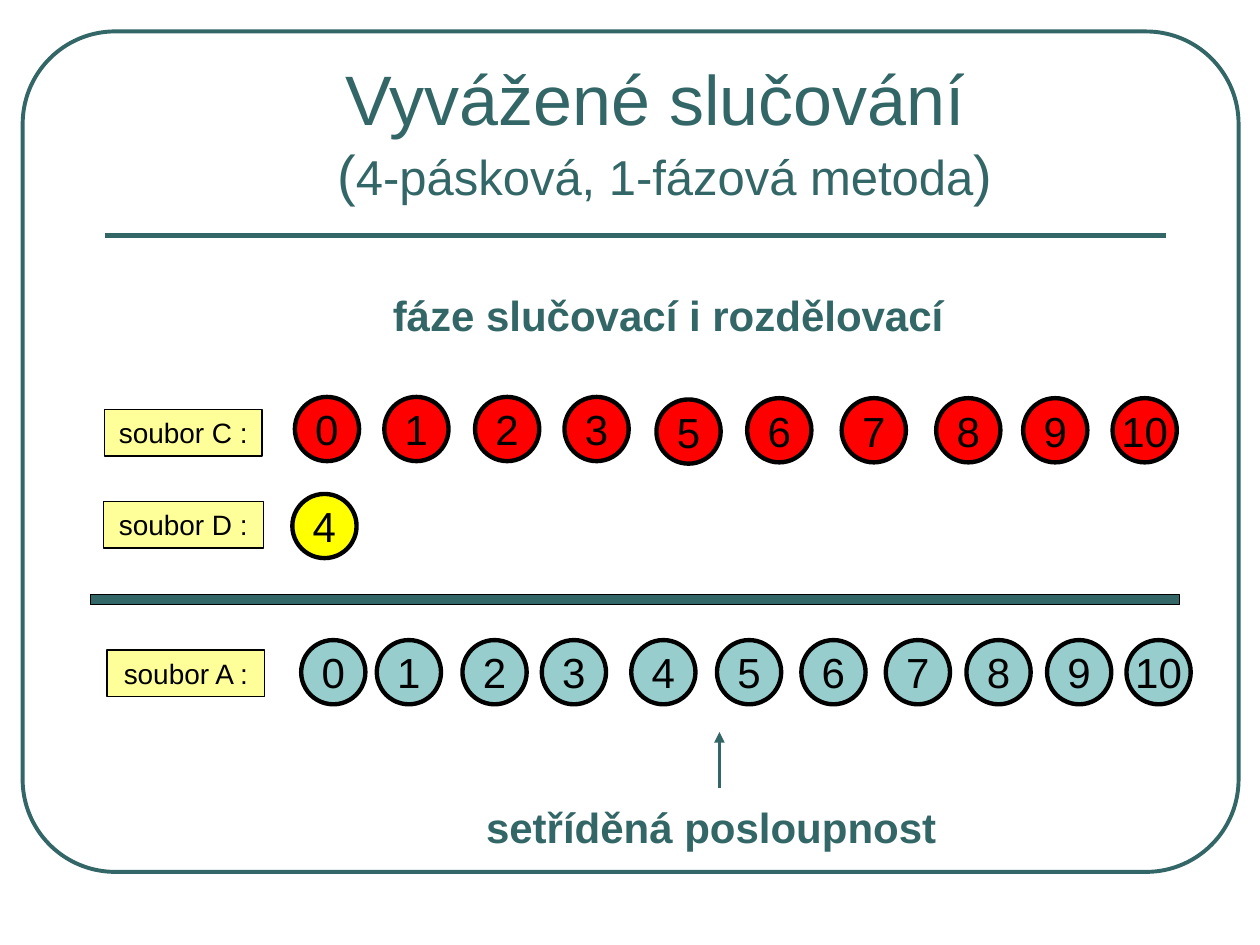
from lxml import etree
from pptx import Presentation
from pptx.dml.color import RGBColor
from pptx.enum.shapes import MSO_CONNECTOR, MSO_SHAPE
from pptx.enum.text import MSO_ANCHOR, PP_ALIGN
from pptx.oxml.ns import qn
from pptx.util import Inches, Pt

TEAL = RGBColor(0x33, 0x66, 0x66)
AQUA = RGBColor(0x97, 0xCD, 0xCC)
RED = RGBColor(0xFF, 0x00, 0x00)
YELLOW = RGBColor(0xFF, 0xFF, 0x00)
CREAM = RGBColor(0xFF, 0xFF, 0x99)
BLACK = RGBColor(0x00, 0x00, 0x00)
RECT, ROUND, OVAL = MSO_SHAPE.RECTANGLE, MSO_SHAPE.ROUNDED_RECTANGLE, MSO_SHAPE.OVAL
STRAIGHT = MSO_CONNECTOR.STRAIGHT
CENTER, MIDDLE = PP_ALIGN.CENTER, MSO_ANCHOR.MIDDLE
TOP, BOTTOM = MSO_ANCHOR.TOP, MSO_ANCHOR.BOTTOM
CELL = Inches(0.1)
BALL = 5.1


def grid(*cells):
    """Turn counts of columns and rows into lengths."""
    return [round(CELL * n) for n in cells]


def style(font, size, color, bold=False):
    """Set the look of a piece of text."""
    font.name, font.size, font.bold = "Arial", Pt(size), bold
    font.color.rgb = color


def write(shape, text, size, color, anchor=TOP, bold=False):
    """Put one centred line of text in a shape."""
    frame = shape.text_frame
    frame.text = text
    frame.word_wrap = False
    frame.vertical_anchor = anchor
    para = frame.paragraphs[0]
    para.alignment = CENTER
    style(para.runs[0].font, size, color, bold)


def block(slide, kind, box, fill, line, width):
    """Draw a preset shape in a box, unfilled when fill is None."""
    shape = slide.shapes.add_shape(kind, *grid(*box))
    shape.shadow.inherit = False
    if fill is None:
        shape.fill.background()
    else:
        shape.fill.solid()
        shape.fill.fore_color.rgb = fill
    shape.line.color.rgb = line
    shape.line.width = Pt(width)
    return shape


def stroke(slide, ends, width, arrow=False):
    """Draw a straight teal line, with a head at its end if asked."""
    line = slide.shapes.add_connector(STRAIGHT, *grid(*ends))
    line.line.color.rgb = TEAL
    line.line.width = Pt(width)
    if arrow:
        etree.SubElement(line.line._get_or_add_ln(), qn("a:tailEnd"), type="triangle")
    etree.SubElement(line._element.spPr, qn("a:effectLst"))


def frame(slide, box):
    """Draw the rounded border and the rule below the title."""
    border = block(slide, ROUND, box, None, TEAL, 2.25)
    border.adjustments[0] = 0.11
    left, top, width, _ = box
    rule = top + 16.2
    stroke(slide, (left + 6.5, rule, left + width - 5.8, rule), 3)


def title(slide, box):
    """Write the two-line title at the bottom of its box."""
    text = slide.shapes.add_textbox(*grid(*box)).text_frame
    text.word_wrap = True
    text.vertical_anchor = BOTTOM
    para = text.paragraphs[0]
    para.text = "Vyvážené slučování \v"
    para.alignment = CENTER
    style(para.runs[0].font, 40, TEAL)
    for part, size in (("(", 32), ("4-pásková, 1-fázová metoda", 28), (")", 32)):
        run = para.add_run()
        run.text = part
        style(run.font, size, TEAL)


def caption(slide, box, text):
    """Write a bold caption."""
    write(slide.shapes.add_textbox(*grid(*box)), text, 24, TEAL, bold=True)


def tape(slide, box, name, fill, balls):
    """Draw a file's label and its numbered balls, each at (key, left, top)."""
    label = block(slide, RECT, box, CREAM, BLACK, 0.75)
    write(label, name, 16, BLACK)
    for key, left, top in balls:
        ball = block(slide, OVAL, (left, top, BALL, BALL), fill, BLACK, 2.5)
        write(ball, str(key), 24, BLACK, MIDDLE)


def main():
    """Build the slide and save it."""
    deck = Presentation()
    deck.slide_width, deck.slide_height = grid(100, 75)
    slide = deck.slides.add_slide(deck.slide_layouts[6])
    frame(slide, (1.8, 2.5, 96.5, 66.7))
    title(slide, (12.9, 7.4, 79.7, 9.5))
    caption(slide, (29.7, 22.5, 47.6, 5), "fáze slučovací i rozdělovací ")

    keys = (0, 1, 2, 3, 5, 6, 7, 8, 9, 10)
    lefts = (23.4, 30.5, 37.7, 44.8, 52.1, 59.3, 66.8, 74.3, 81.2, 88.3)
    tops = [31.5] * 4 + [31.7] + [31.6] * 5
    tape(slide, (8.3, 32.5, 12.5, 3.7), "soubor C :", RED, zip(keys, lefts, tops))
    tape(slide, (8.2, 39.8, 12.7, 3.7), "soubor D :", YELLOW, [(4, 23.2, 39.2)])
    block(slide, RECT, (7.2, 47.2, 86.4, 0.8), TEAL, BLACK, 0.75)

    lefts = (23.9, 29.9, 36.7, 43, 50.1, 56.9, 63.6, 70.3, 76.7, 83.1, 89.4)
    balls = [(key, left, 50.8) for key, left in enumerate(lefts)]
    tape(slide, (8.5, 51.6, 12.5, 3.7), "soubor A :", AQUA, balls)
    caption(slide, (36.8, 63.1, 39.3, 5), "setříděná posloupnost")
    stroke(slide, (57.1, 62.5, 57.1, 58.1), 2, arrow=True)
    deck.save("out.pptx")


if __name__ == "__main__":
    main()
